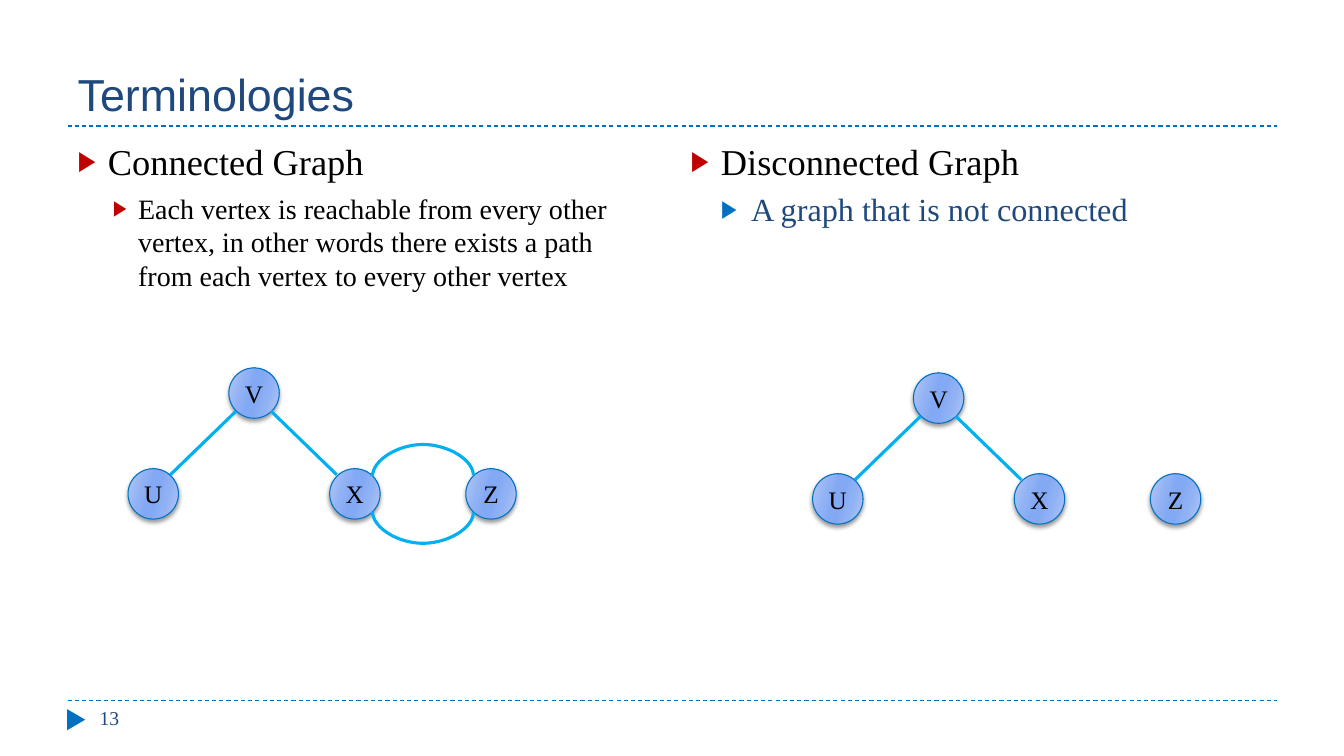
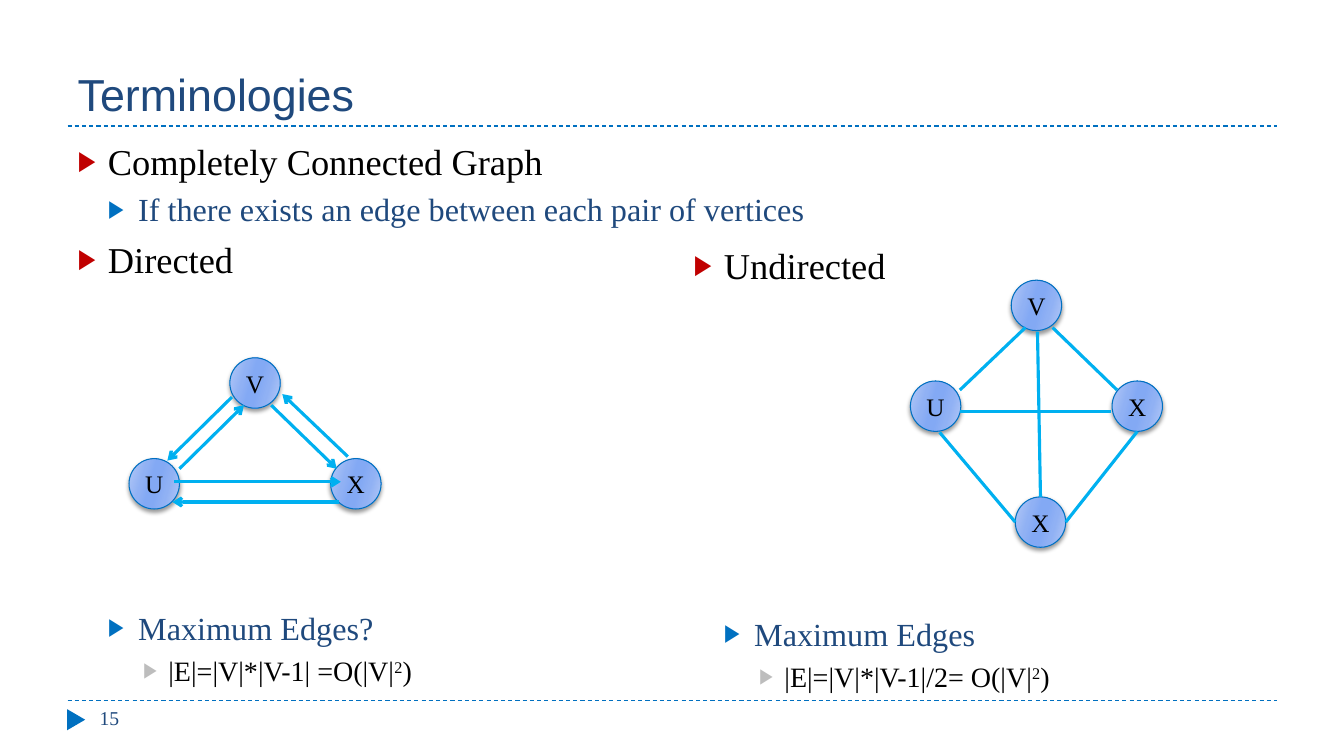
from dataclasses import dataclass

from lxml.etree import SubElement
from pptx import Presentation
from pptx.dml.color import RGBColor
from pptx.enum.dml import MSO_LINE_DASH_STYLE as Dash
from pptx.enum.shapes import MSO_CONNECTOR as Connector, MSO_SHAPE as Preset
from pptx.enum.text import MSO_ANCHOR as Anchor, MSO_AUTO_SIZE as AutoSize, PP_ALIGN as Align
from pptx.oxml.ns import qn
from pptx.util import Inches, Pt

COLORS = {
    "navy": "1F497D", "blue": "0070C0", "sky": "00B0F0",
    "red": "C00000", "gray": "BDBDBD", "black": "000000",
}
NODE_GRADIENT = {0: "B4C9F6", 30: "90B1F4", 45: "83A9F4", 55: "83A9F4", 73: "90B1F4", 100: "B4C9F6"}
SERIF = "Times New Roman"
NODE_SIZE = 0.5


@dataclass
class ListStyle:
    level: int
    indent: float
    hanging: float
    before: float
    size: int
    color: str
    bullet: str


HEADING = ListStyle(0, 0.3, 0.3, 6, 26, "black", "red")
POINT = ListStyle(1, 0.6, 0.3, 5, 23, "navy", "blue")
EXPLANATION = ListStyle(2, 0.6, 0.25, 6, 20, "black", "red")
FORMULA = ListStyle(2, 0.9, 0.25, 5, 20, "black", "gray")


def rgb(name):
    return RGBColor.from_string(COLORS[name])


def add_xml(parent, tag, **attributes):
    return SubElement(parent, qn(tag), {key: str(value) for key, value in attributes.items()})


class Deck:
    def __init__(self):
        self.presentation = Presentation()
        self.presentation.slide_width = Inches(13.33)
        self.presentation.slide_height = Inches(7.5)
        self.slide = None

    def start_slide(self, title, number):
        self.slide = self.presentation.slides.add_slide(self.presentation.slide_layouts[3])
        for y in (6.95, 1.25):
            self.line((0.67, y), (12.67, y), "blue", 0.75, dash=True)
        marker = self.shape(Preset.ISOSCELES_TRIANGLE, 0.65, 7.05, 0.21, 0.18)
        marker.rotation = 90
        marker.fill.solid()
        marker.fill.fore_color.rgb = rgb("blue")
        marker.line.fill.background()

        frame = self.place(self.slide.shapes.title, 0.67, 0.25, 12, 1)
        frame.vertical_anchor = Anchor.BOTTOM
        frame.text = title
        frame.paragraphs[0].alignment = Align.LEFT
        self.format(frame.paragraphs[0], 32, "navy", "Arial")

        box = self.slide.shapes.add_textbox(0, 0, 0, 0)
        frame = self.place(box, 0.89, 6.95, 2.89, 0.4)
        frame.text = str(number)
        self.format(frame.paragraphs[0], 14, "navy")

    def place(self, shape, left, top, width, height):
        shape.left, shape.top = Inches(left), Inches(top)
        shape.width, shape.height = Inches(width), Inches(height)
        frame = shape.text_frame
        frame.word_wrap = True
        frame.auto_size = AutoSize.NONE
        return frame

    def format(self, paragraph, size, color, font=SERIF):
        paragraph.font.size = Pt(size)
        paragraph.font.name = font
        paragraph.font.color.rgb = rgb(color)

    def shape(self, preset, left, top, width, height):
        shape = self.slide.shapes.add_shape(
            preset, Inches(left), Inches(top), Inches(width), Inches(height))
        shape.shadow.inherit = False
        return shape

    def body(self, index, left, top, width, height, items):
        frame = self.place(self.slide.placeholders[index], left, top, width, height)
        frame.vertical_anchor = Anchor.TOP
        for position, (style, text, *gap) in enumerate(items):
            paragraph = frame.paragraphs[0] if position == 0 else frame.add_paragraph()
            self.list_item(paragraph, style, text, *gap)

    def list_item(self, paragraph, style, text, gap=0):
        paragraph.level = style.level
        properties = paragraph._p.get_or_add_pPr()
        properties.set("marL", str(Inches(style.indent)))
        properties.set("indent", str(-Inches(style.hanging)))
        add_xml(add_xml(properties, "a:buClr"), "a:srgbClr", val=COLORS[style.bullet])
        add_xml(properties, "a:buSzPct", val=76000)
        add_xml(properties, "a:buChar", char="▶")
        paragraph.space_before = Pt(style.before + gap)
        self.format(paragraph, style.size, style.color)
        for position, part in enumerate(text.split("^")):
            run = paragraph.add_run()
            run.text = part
            if position == 1:
                run.font._element.set("baseline", "30000")

    def node(self, label, left, top):
        shape = self.shape(Preset.OVAL, left, top, NODE_SIZE, NODE_SIZE)
        shape.fill.gradient()
        gradient = shape._element.spPr.find(qn("a:gradFill"))
        stops = gradient.find(qn("a:gsLst"))
        stops.clear()
        for position, color in NODE_GRADIENT.items():
            add_xml(add_xml(stops, "a:gs", pos=position * 1000), "a:srgbClr", val=color)
        gradient.find(qn("a:lin")).set("ang", str(16 * 60000))
        shape.line.color.rgb = rgb("blue")
        shape.line.width = Pt(0.75)
        effects = shape._element.spPr.find(qn("a:effectLst"))
        shadow = add_xml(effects, "a:outerShdw", blurRad=Pt(3), dist=Pt(2), dir=90 * 60000, rotWithShape=0)
        add_xml(add_xml(shadow, "a:srgbClr", val=COLORS["black"]), "a:alpha", val=40000)
        frame = shape.text_frame
        frame.word_wrap = False
        frame.vertical_anchor = Anchor.MIDDLE
        frame.text = label
        frame.paragraphs[0].alignment = Align.CENTER
        self.format(frame.paragraphs[0], 18, "black")

    def line(self, start, end, color="sky", width=2.25, dash=False, arrow=False, kind=Connector.STRAIGHT):
        connector = self.slide.shapes.add_connector(kind, *map(Inches, (*start, *end)))
        connector.line.color.rgb = rgb(color)
        connector.line.width = Pt(width)
        if dash:
            connector.line.dash_style = Dash.DASH
        if arrow:
            add_xml(connector.line._get_or_add_ln(), "a:tailEnd", type="arrow")
        add_xml(connector._element.spPr, "a:effectLst")
        return connector

    def curve(self, left, top, rotation, **flips):
        connector = self.line((left, top), (left + 0.01, top + 1), kind=Connector.CURVE)
        properties = connector._element.spPr
        transform = properties.find(qn("a:xfrm"))
        transform.set("rot", str(rotation * 60000))
        for name, value in flips.items():
            transform.set(name, value)
        adjustments = properties.find(qn("a:prstGeom")).find(qn("a:avLst"))
        add_xml(adjustments, "a:gd", name="adj1", fmla="val 3200000")

    def graph(self, left, top, nodes, edges, arrow=False):
        for label, x, y in nodes:
            self.node(label, left + x, top + y)
        for x1, y1, x2, y2 in edges:
            self.line((left + x1, top + y1), (left + x2, top + y2), arrow=arrow)


TRIANGLE = [("X", 2, 1), ("U", 0, 1), ("V", 1, 0)]
PATH_NODES = [*TRIANGLE, ("Z", 3.35, 1)]
PATH_EDGES = [(1.07, 0.43, 0.42, 1.06), (1.42, 0.43, 2.07, 1.06)]
DIRECTED_EDGES = [
    (0.5, 1.1, 1.14, 0.47), (1.02, 0.39, 0.38, 1.02),
    (1.41, 0.47, 2.06, 1.1), (2.17, 0.98, 1.52, 0.36),
    (2.08, 1.43, 0.43, 1.43), (0.45, 1.23, 2.1, 1.23),
]
COMPLETE_EDGES = [
    (1.14, 0.47, 0.49, 1.09), (1.41, 0.47, 2.05, 1.09), (1.99, 1.3, 0.49, 1.3),
    (1.04, 2.4, 0.29, 1.51), (1.54, 2.4, 2.25, 1.5), (1.29, 2.15, 1.26, 0.51),
]


def connectivity_slide(deck):
    deck.start_slide("Terminologies", 13)
    deck.body(1, 0.67, 1.33, 5.89, 5.4, [
        (HEADING, "Connected Graph"),
        (EXPLANATION, "Each vertex is reachable from every other vertex, in other words "
                      "there exists a path from each vertex to every other vertex"),
    ])
    deck.body(2, 6.75, 1.33, 5.89, 5.4, [
        (HEADING, "Disconnected Graph"),
        (POINT, "A graph that is not connected"),
    ])
    for left, top in ((1.27, 3.65), (8.06, 3.7)):
        deck.graph(left, top, PATH_NODES, PATH_EDGES)
    deck.curve(4.19, 4.58, 270, flipH="1")
    deck.curve(4.19, 4.22, 90, flipH="1", flipV="1")


def complete_graph_slide(deck):
    deck.start_slide("Terminologies", 15)
    deck.body(1, 0.67, 1.33, 12, 5.4, [
        (HEADING, "Completely Connected Graph"),
        (POINT, "If there exists an edge between each pair of vertices"),
        (HEADING, "Directed"),
        (POINT, "Maximum Edges?", 229),
        (FORMULA, "|E|=|V|*|V-1| =O(|V|^2^)"),
    ])
    deck.body(2, 6.78, 2.36, 5.89, 4.37, [
        (HEADING, "Undirected"),
        (POINT, "Maximum Edges", 229),
        (FORMULA, "|E|=|V|*|V-1|/2= O(|V|^2^)"),
    ])
    deck.graph(1.28, 3.55, TRIANGLE, DIRECTED_EDGES, arrow=True)
    deck.graph(9.03, 2.78, [*TRIANGLE, ("X", 1.04, 2.15)], COMPLETE_EDGES)


def main():
    deck = Deck()
    connectivity_slide(deck)
    complete_graph_slide(deck)
    deck.presentation.save("out.pptx")


if __name__ == "__main__":
    main()
